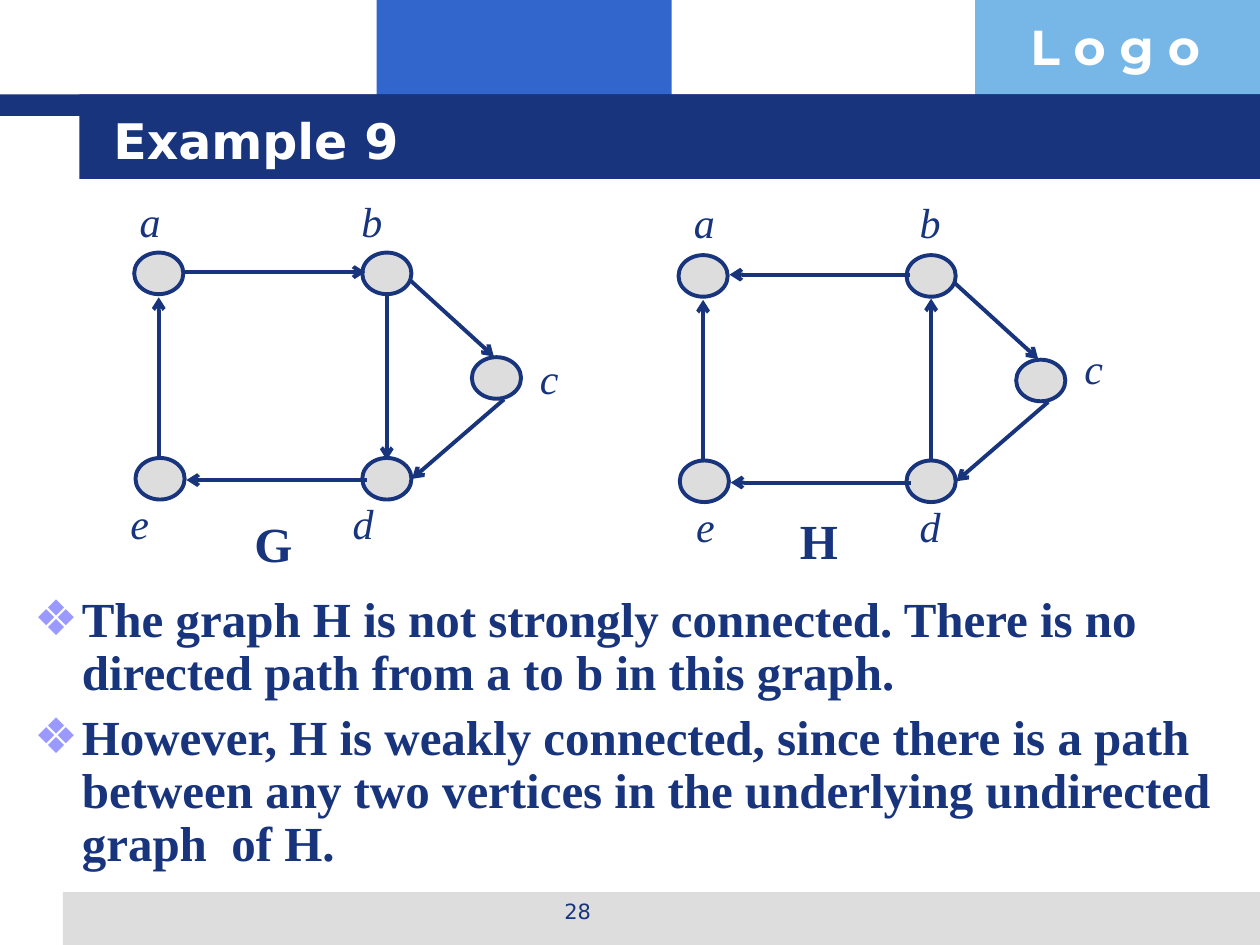
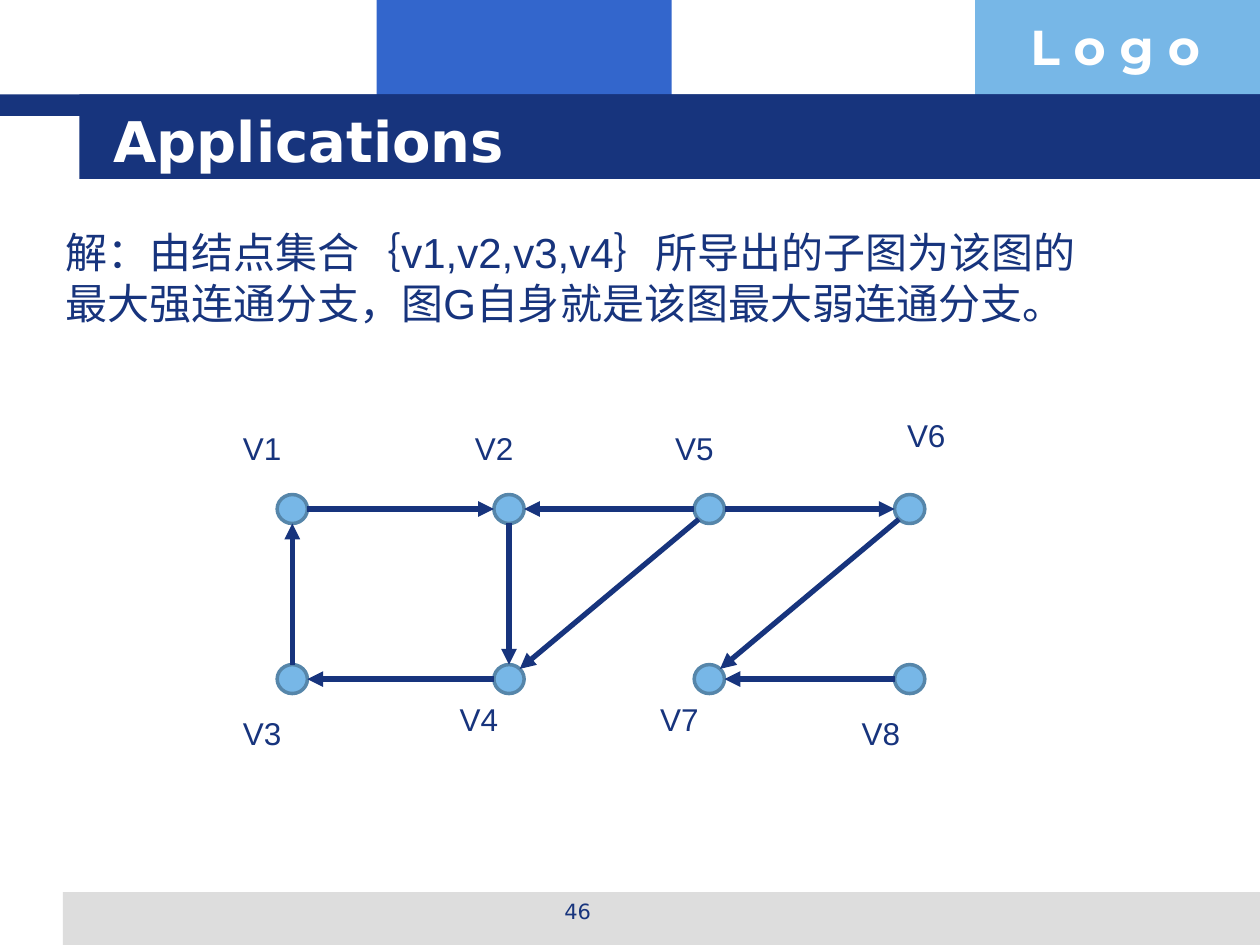
from math import hypot

from lxml.etree import SubElement
from pptx import Presentation
from pptx.dml.color import RGBColor
from pptx.enum.shapes import MSO_CONNECTOR, MSO_SHAPE
from pptx.enum.text import MSO_ANCHOR, MSO_AUTO_SIZE, PP_ALIGN
from pptx.oxml.ns import qn
from pptx.util import Inches, Pt

NAVY, BLUE, SKY = "17347D", "3366CC", "77B7E7"
GREY, WHITE, LILAC, STEEL = "DDDDDD", "FFFFFF", "9999FF", "5686AA"

# Text styles
TITLE = {"name": "DejaVu Sans", "size": Pt(28), "bold": True, "color": WHITE}
LOGO = TITLE | {"name": "Montserrat"}
NUMBER = {"name": "DejaVu Sans", "size": Pt(12), "color": NAVY}
LIST = {"name": "Times New Roman", "size": Pt(28), "bold": True, "color": NAVY}
VERTEX = {"name": "Times New Roman", "size": Pt(24), "italic": True, "color": NAVY}
ANSWER = {"name": "Arial", "size": Pt(24), "color": NAVY}
NODE_NAME = ANSWER | {"size": Pt(18)}

# Bands behind every slide: left, top, width, height, colour
BANDS = [
    (2.99, 0, 2.34, 0.92, BLUE),
    (7.74, 0, 2.26, 0.92, SKY),
    (0.5, 7.08, 9.5, 0.42, GREY),
    (0, 0.75, 10, 0.17, NAVY),
    (0.63, 0.75, 9.37, 0.67, NAVY),
]


def rgb(color):
    return RGBColor.from_string(color)


def sign(value):
    return (value > 0) - (value < 0)


class Deck:
    def __init__(self):
        self.presentation = Presentation()
        self.presentation.slide_width = Inches(10)
        self.presentation.slide_height = Inches(7.5)
        self.slide = None

    def new_slide(self, layout, title, number, title_size=28):
        self.slide = self.presentation.slides.add_slide(
            self.presentation.slide_layouts[layout])
        for *box, color in BANDS:
            self.shape(MSO_SHAPE.RECTANGLE, box, color)
        self.text("L o g o", (8.08, 0.08, 1.93, 0.57), LOGO)
        self.text(number, (3.42, 7.08, 2.33, 0.35), NUMBER, PP_ALIGN.CENTER)
        heading = self.placeholder(self.slide.shapes.title, (0.8, 0.8, 8.53, 0.62))
        heading.vertical_anchor = MSO_ANCHOR.MIDDLE
        self.fill_paragraph(heading.paragraphs[0], title,
                            TITLE | {"size": Pt(title_size)}, PP_ALIGN.LEFT)

    def placeholder(self, shape, box):
        """Move a placeholder into place, in front of the bands."""
        self.slide.shapes.element.append(shape.element)
        for name, value in zip(("left", "top", "width", "height"), box):
            setattr(shape, name, Inches(value))
        frame = shape.text_frame
        frame.auto_size = MSO_AUTO_SIZE.NONE
        return frame

    def fill_paragraph(self, paragraph, text, style, align):
        paragraph.alignment = align
        run = paragraph.add_run()
        run.text = text
        for name, value in style.items():
            if name == "color":
                run.font.color.rgb = rgb(value)
            else:
                setattr(run.font, name, value)

    def text(self, text, box, style, align=PP_ALIGN.LEFT, wrap=True,
             anchor=MSO_ANCHOR.TOP):
        frame = self.slide.shapes.add_textbox(*map(Inches, box)).text_frame
        frame.word_wrap = wrap
        frame.vertical_anchor = anchor
        self.fill_paragraph(frame.paragraphs[0], text, style, align)

    def bullets(self, items, box):
        frame = self.placeholder(self.slide.placeholders[1], box)
        for index, item in enumerate(items):
            paragraph = frame.add_paragraph() if index else frame.paragraphs[0]
            properties = paragraph._p.get_or_add_pPr()
            properties.set("marL", str(Inches(0.38)))
            properties.set("indent", str(-Inches(0.38)))
            color = SubElement(properties, qn("a:buClr"))
            SubElement(color, qn("a:srgbClr"), val=LILAC)
            SubElement(properties, qn("a:buChar"), char="❖")
            paragraph.line_spacing = 0.9
            paragraph.space_before = Pt(7 if index else 0)
            self.fill_paragraph(paragraph, item, LIST, PP_ALIGN.LEFT)

    def shape(self, kind, box, fill, line=None, width=0):
        shape = self.slide.shapes.add_shape(kind, *map(Inches, box))
        shape.shadow.inherit = False
        shape.fill.solid()
        shape.fill.fore_color.rgb = rgb(fill)
        if line:
            shape.line.color.rgb = rgb(line)
            shape.line.width = Pt(width)
        else:
            shape.line.fill.background()

    def node(self, center, size, fill, line, width):
        box = [middle - length / 2 for middle, length in zip(center, size)]
        self.shape(MSO_SHAPE.OVAL, (*box, *size), fill, line, width)

    def arrow(self, start, end, width, head):
        connector = self.slide.shapes.add_connector(
            MSO_CONNECTOR.STRAIGHT, *map(Inches, (*start, *end)))
        connector.line.color.rgb = rgb(NAVY)
        connector.line.width = Pt(width)
        SubElement(connector.line._get_or_add_ln(), qn("a:tailEnd"), type=head)
        SubElement(connector._element.spPr, qn("a:effectLst"))


# Vertices and edge ends of graph G; graph H is the same layout moved right
VERTICES = {"a": (1.26, 2.17), "b": (3.07, 2.17), "c": (3.94, 3.0),
            "d": (3.07, 3.8), "e": (1.27, 3.8)}
EDGES = {"ab": ((1.47, 2.16), (2.9, 2.16)), "bc": ((3.25, 2.22), (3.92, 2.83)),
         "bd": ((3.07, 2.35), (3.07, 3.65)), "cd": ((4, 3.17), (3.27, 3.8)),
         "de": ((2.91, 3.81), (1.48, 3.81)), "ea": ((1.26, 3.64), (1.26, 2.36))}


def draw_graph(deck, name, name_at, offset, edges, labels):
    def moved(point):
        return point[0] + offset[0], point[1] + offset[1]

    for center in VERTICES.values():
        deck.node(moved(center), (0.39, 0.33), GREY, NAVY, 2.25)
    for edge in edges:
        ends = EDGES[edge] if edge in EDGES else EDGES[edge[::-1]][::-1]
        deck.arrow(*map(moved, ends), 2.25, "arrow")
    for vertex, corner in labels.items():
        deck.text(vertex, (*corner, 0.36, 0.5), VERTEX, PP_ALIGN.CENTER,
                  wrap=False, anchor=MSO_ANCHOR.MIDDLE)
    deck.text(name, (*name_at, 0.5, 0.57), LIST, wrap=False)


def example_slide(deck):
    deck.new_slide(1, "Example 9", "28")
    deck.bullets([
        "The graph H is not strongly connected. There is no directed path "
        "from a to b in this graph.",
        "However, H is weakly connected, since there is a path between any two "
        "vertices in the underlying undirected graph  of H.",
    ], (0.17, 4.67, 9.75, 2.33))
    draw_graph(deck, "G", (1.92, 4.03), (0, 0), ["ab", "bc", "bd", "cd", "de", "ea"],
               {"a": (1.01, 1.5), "b": (2.77, 1.5), "c": (4.18, 2.75),
                "d": (2.7, 3.9), "e": (0.93, 3.9)})
    draw_graph(deck, "H", (6.25, 4), (4.32, 0.02), ["ba", "bc", "db", "cd", "de", "ea"],
               {"a": (5.41, 1.51), "b": (7.2, 1.51), "c": (8.5, 2.67),
                "d": (7.2, 3.92), "e": (5.42, 3.92)})


def applications_slide(deck):
    deck.new_slide(5, "Applications", "46", title_size=32)
    deck.text("解：由结点集合｛v1,v2,v3,v4｝所导出的子图为该图的最大强连通分支，"
              "图G自身就是该图最大弱连通分支。", (0.42, 1.75, 8.25, 1.3), ANSWER)

    # Nodes on a grid of four columns and two rows
    columns, rows = (2.32, 4.04, 5.63, 7.22), (4.04, 5.39)
    names = (("V1", "V2", "V5", "V6"), ("V3", "V4", "V7", "V8"))
    centers = {name: (x, y) for y, row in zip(rows, names)
               for x, name in zip(columns, row)}
    size = (0.24, 0.23)
    for center in centers.values():
        deck.node(center, size, SKY, STEEL, 2)

    # Arrows meet each node at the side or diagonal facing the other node
    for start, end in (("V1", "V2"), ("V3", "V1"), ("V4", "V3"), ("V2", "V4"),
                       ("V5", "V2"), ("V5", "V4"), ("V5", "V6"), ("V6", "V7"),
                       ("V8", "V7")):
        first, last = centers[start], centers[end]
        steps = [sign(b - a) for a, b in zip(first, last)]
        reach = [step * length / 2 / hypot(*steps) for step, length in zip(steps, size)]
        deck.arrow([a + r for a, r in zip(first, reach)],
                   [b - r for b, r in zip(last, reach)], 3, "triangle")

    # Node names
    for name, corner in {"V1": (1.83, 3.36), "V2": (3.67, 3.36), "V5": (5.26, 3.36),
                         "V6": (7.1, 3.25), "V3": (1.83, 5.62), "V4": (3.55, 5.51),
                         "V7": (5.14, 5.51), "V8": (6.74, 5.62)}.items():
        deck.text(name, (*corner, 0.98, 0.4), NODE_NAME)


def main():
    deck = Deck()
    example_slide(deck)
    applications_slide(deck)
    deck.presentation.save("out.pptx")


if __name__ == "__main__":
    main()
